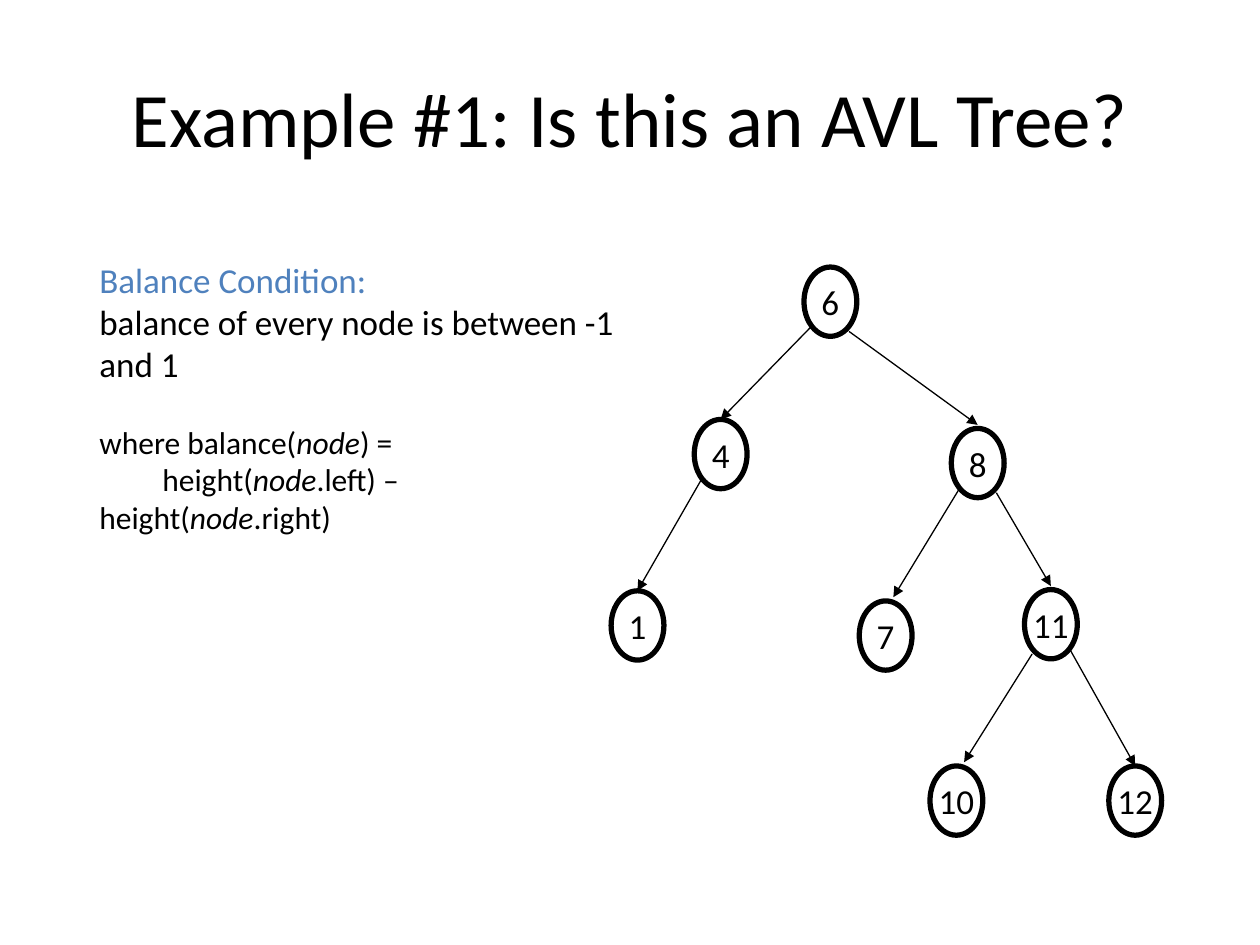
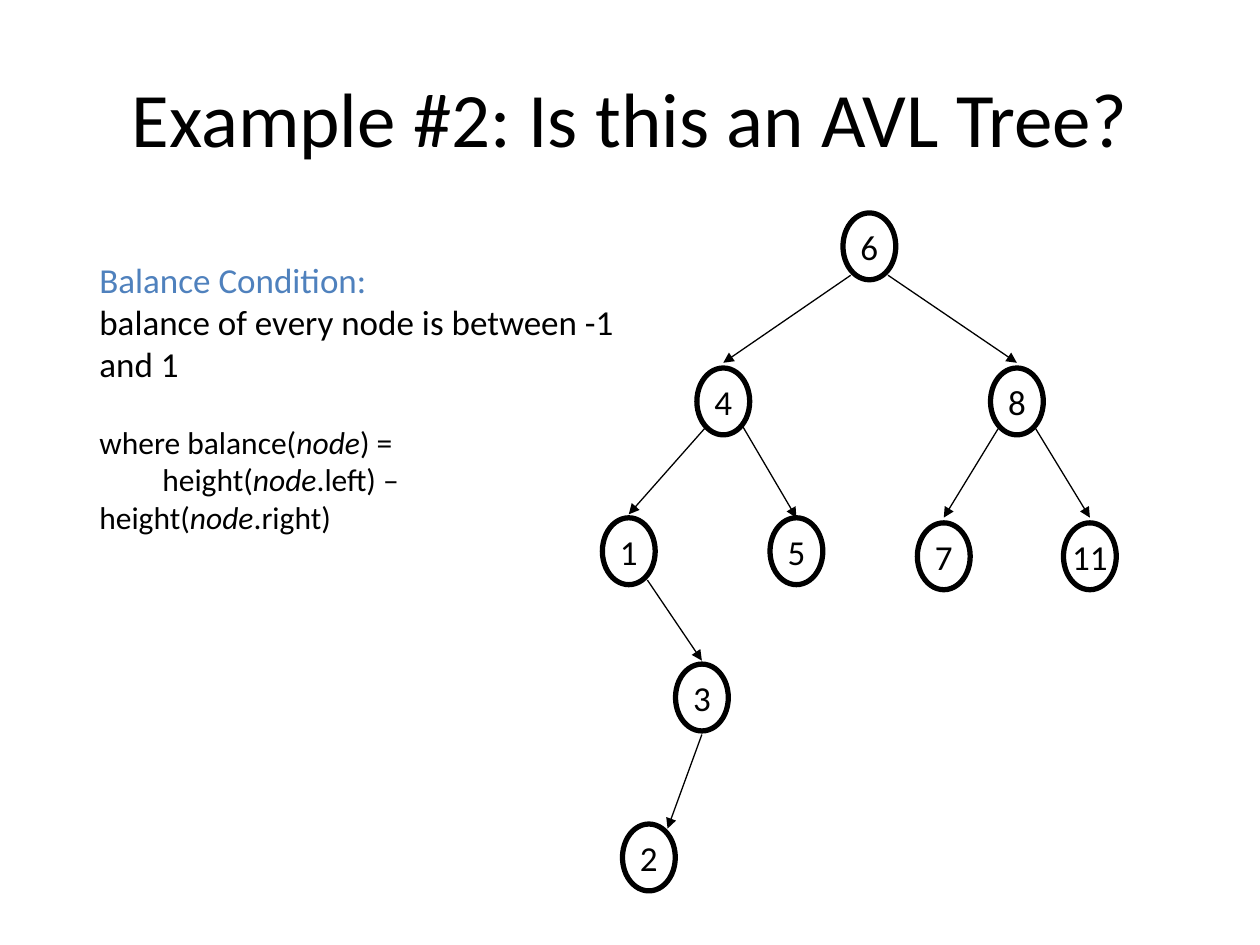
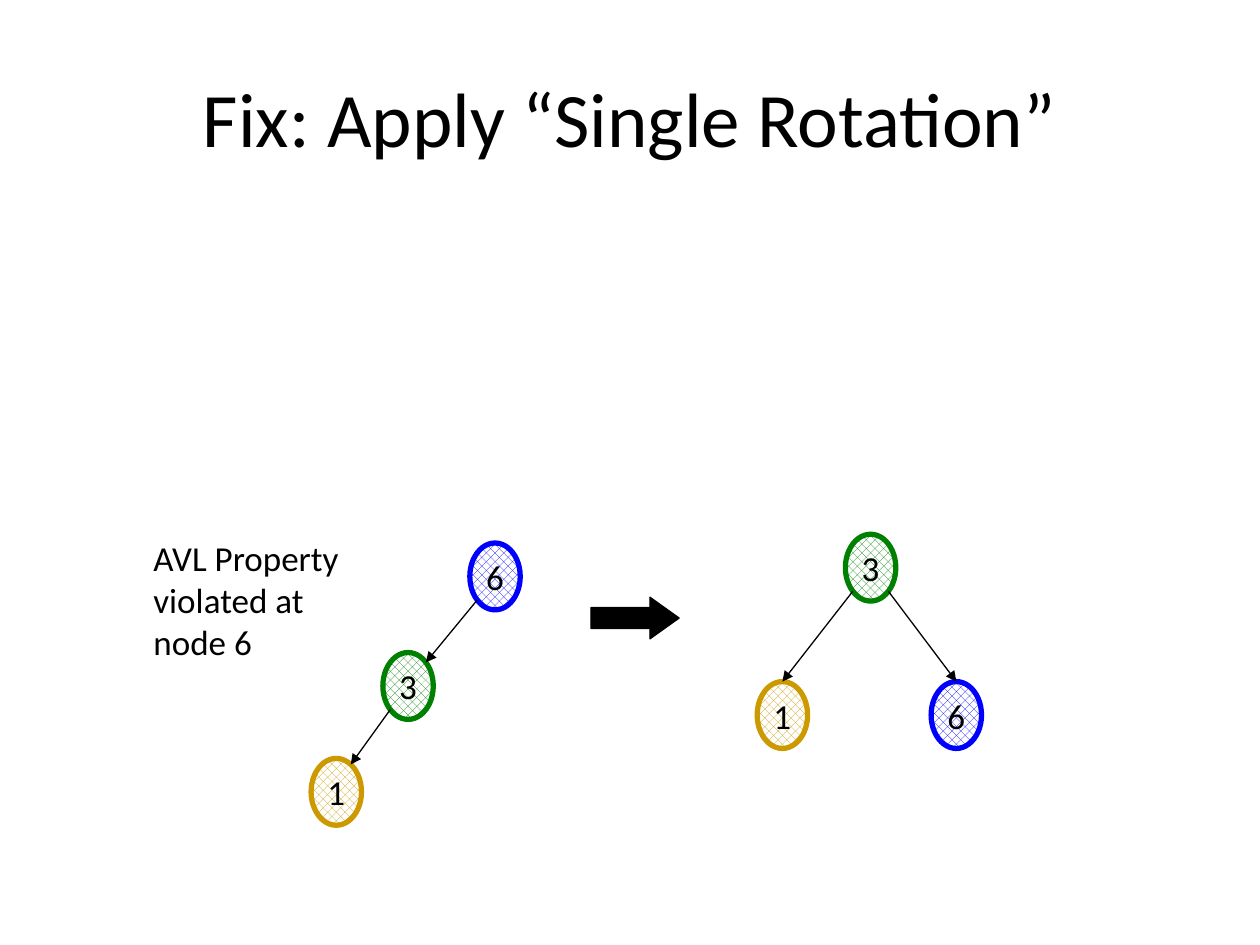
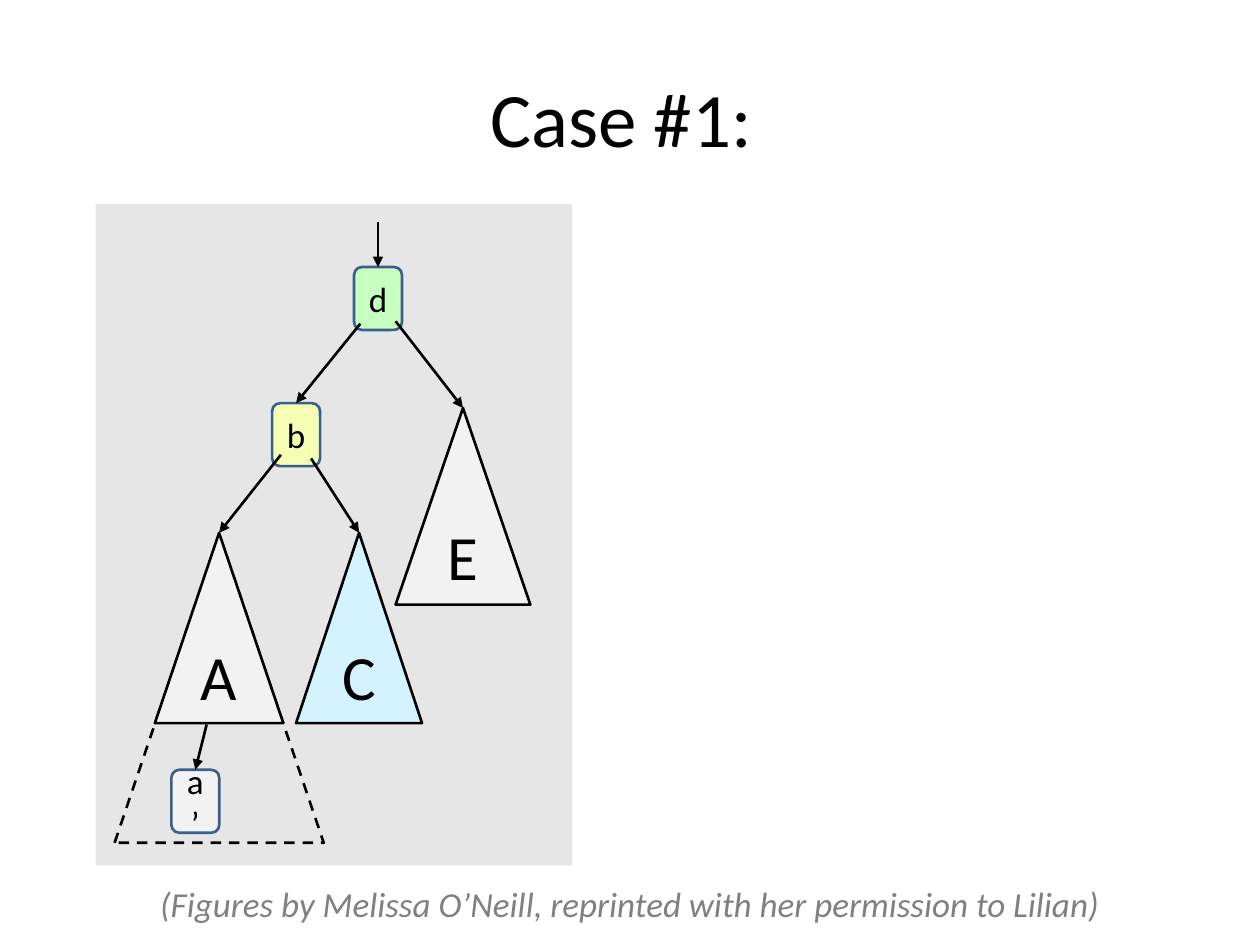
import math
from dataclasses import dataclass

from lxml import etree
from pptx import Presentation
from pptx import util as u
from pptx.dml import color as colors
from pptx.enum import dml, shapes, text
from pptx.oxml import ns

FONT = "Calibri"
BLACK, WHITE, ACCENT, GREY = "000000", "FFFFFF", "4F81BD", "808080"
BLUE, GREEN, GOLD = "0000FF", "008000", "CC9900"
PANEL, PALE, CYAN, YELLOW, MINT, NAVY = "E6E6E6", "F2F2F2", "D2F3FF", "F5FFB4", "C6FFBF", "3A5F8C"
TITLE_BOX = (36, 21.6, 648, 90)
TITLE_ONLY = 5
CENTER = text.PP_ALIGN.CENTER
MIDDLE = text.MSO_ANCHOR.MIDDLE
KIND = shapes.MSO_SHAPE


@dataclass
class Edge:
    parent: str
    child: str
    drop: float = 0
    gap: float = 0
    leave: float = None
    arrive: float = 90


def rgb(hex_color):
    return colors.RGBColor.from_string(hex_color)


def points(*values):
    return [u.Pt(value) for value in values]


def write(frame, content, size=20, color=BLACK, italic=False, align=None,
          new_paragraph=False, space_before=0):
    paragraph = frame.add_paragraph() if new_paragraph else frame.paragraphs[-1]
    if align is not None:
        paragraph.alignment = align
    if space_before:
        paragraph.space_before = u.Pt(space_before)
    for index, line in enumerate(content.split("\n")):
        if index:
            paragraph.add_line_break()
        if line:
            run = paragraph.add_run()
            run.text = line
            run.font.name = FONT
            run.font.size = u.Pt(size)
            run.font.italic = italic
            run.font.color.rgb = rgb(color)


def add_slide(presentation, title):
    slide = presentation.slides.add_slide(presentation.slide_layouts[TITLE_ONLY])
    shape = slide.shapes.title
    shape.left, shape.top, shape.width, shape.height = points(*TITLE_BOX)
    shape.text_frame.vertical_anchor = MIDDLE
    write(shape.text_frame, title, size=44, align=CENTER)
    return slide


def add_text_box(slide, box, anchor=text.MSO_ANCHOR.TOP):
    frame = slide.shapes.add_textbox(*points(*box)).text_frame
    frame.word_wrap = True
    frame.vertical_anchor = anchor
    return frame


def add_shape(slide, kind, box, fill=None, line=None, width=1.5, label="", size=20,
              wrap=True):
    shape = slide.shapes.add_shape(kind, *points(*box))
    shape.shadow.inherit = False
    if fill:
        shape.fill.solid()
        shape.fill.fore_color.rgb = rgb(fill)
    else:
        shape.fill.background()
    if line:
        shape.line.color.rgb = rgb(line)
        shape.line.width = u.Pt(width)
    else:
        shape.line.fill.background()
    if label:
        shape.text_frame.word_wrap = wrap
        shape.text_frame.vertical_anchor = MIDDLE
        write(shape.text_frame, label, size=size, align=CENTER)
    return shape


def add_arrow(slide, start, end, width=0.75):
    arrow = slide.shapes.add_connector(shapes.MSO_CONNECTOR.STRAIGHT, *points(*start, *end))
    arrow.line.color.rgb = rgb(BLACK)
    arrow.line.width = u.Pt(width)
    properties = arrow.element.spPr
    etree.SubElement(properties.find(ns.qn("a:ln")), ns.qn("a:tailEnd"), type="triangle")
    etree.SubElement(properties, ns.qn("a:effectLst"))
    return arrow


def rim_point(node_box, angle, shift):
    left, top, width, height = node_box
    radians = math.radians(angle)
    return (left + width / 2 * (1 + math.cos(radians)),
            top + height / 2 * (1 - math.sin(radians)) + shift)


def add_tree(slide, origin, node_size, nodes, edges, node_colors=None):
    boxes = {label: (origin[0] + x, origin[1] + y, *node_size)
             for label, (x, y) in nodes.items()}
    for label, box in boxes.items():
        color = node_colors[label] if node_colors else BLACK
        node = add_shape(slide, KIND.OVAL, box, line=color, width=3, label=label, wrap=False)
        if node_colors:
            node.fill.patterned()
            node.fill.pattern = dml.MSO_PATTERN.PERCENT_50
            node.fill.fore_color.rgb = rgb(color)
            node.fill.back_color.rgb = rgb(WHITE)
    for edge in edges:
        parent, child = boxes[edge.parent], boxes[edge.child]
        leave = edge.leave or (225 if child[0] < parent[0] else 315)
        add_arrow(slide, rim_point(parent, leave, edge.drop),
                  rim_point(child, edge.arrive, -edge.gap))


def add_balance_condition(slide, box):
    frame = add_text_box(slide, box)
    write(frame, "Balance Condition:\n", color=ACCENT)
    write(frame, "balance of every node is between -1 and 1")
    write(frame, "where balance(", size=18, new_paragraph=True, space_before=22)
    for word, rest in (("node", ") = \n\theight("), ("node", ".left) – height("),
                       ("node", ".right)")):
        write(frame, word, size=18, italic=True)
        write(frame, rest, size=18)


def build_example(presentation, number, origin, node_size, nodes, edges):
    slide = add_slide(presentation, f"Example #{number}: Is this an AVL Tree?")
    add_balance_condition(slide, (49.7, 144, 314, 342.7))
    add_tree(slide, origin, node_size, nodes, edges)


def build_rotation(presentation):
    slide = add_slide(presentation, "Fix: Apply “Single Rotation”")
    node_size = (28.8, 38.2)
    node_colors = {"1": GOLD, "3": GREEN, "6": BLUE}
    frame = add_text_box(slide, (80.6, 303.1, 133.2, 79.9))
    frame.auto_size = text.MSO_AUTO_SIZE.SHAPE_TO_FIT_TEXT
    write(frame, "AVL Property violated at node 6")
    add_tree(slide, (177.8, 310.3), node_size,
             {"6": (90.7, 0), "3": (41, 62.6), "1": (0, 123.1)},
             [Edge("6", "3", arrive=45), Edge("3", "1", arrive=55)], node_colors)
    arrow = add_shape(slide, KIND.RIGHT_ARROW, (337.7, 341.3, 50.4, 23.8),
                      fill=BLACK, line=BLACK, width=0.75)
    arrow.adjustments[1] = 0.7
    add_tree(slide, (432.7, 305.3), node_size,
             {"3": (50.4, 0), "1": (0, 84.2), "6": (99.4, 84.2)},
             [Edge("3", "1"), Edge("3", "6")], node_colors)


def add_case_figure(slide, box):
    left, top = box[:2]
    add_shape(slide, KIND.RECTANGLE, box, fill=PANEL)
    grown = add_shape(slide, KIND.ISOSCELES_TRIANGLE,
                      (left + 10.8, top + 188.6, 119.5, 176.4), line=BLACK)
    grown.line.dash_style = dml.MSO_LINE.DASH
    parts = {}
    for label, fill, x, y, width, height in (
            ("E", PALE, 171.4, 116.6, 77, 112.3),
            ("C", CYAN, 114.5, 187.9, 72, 108.7),
            ("A", PALE, 33.8, 187.9, 73.4, 108.7)):
        parts[label] = add_shape(slide, KIND.ISOSCELES_TRIANGLE,
                                 (left + x, top + y, width, height),
                                 fill=fill, line=BLACK, label=label, size=36)
    for label, fill, x, y in (("b", YELLOW, 100.8, 113.8), ("d", MINT, 147.6, 36),
                              ("a’", PALE, 43.2, 323.3)):
        parts[label] = add_shape(slide, KIND.ROUNDED_RECTANGLE,
                                 (left + x, top + y, 27.4, 36),
                                 fill=fill, line=NAVY, label=label)
    for target, x, y in (("d", 161.3, 10.1), ("b", 151.2, 68.4), ("E", 171.4, 67),
                         ("A", 105.8, 143.3), ("C", 123.1, 145.4), ("a’", 63.4, 297.4)):
        start = (left + x, top + y)
        add_arrow(slide, start, start, width=1.5).end_connect(parts[target], 0)


def build_case(presentation):
    slide = add_slide(presentation, "Case #1: ")
    add_case_figure(slide, (54.7, 116.6, 272.2, 378))
    caption = add_text_box(slide, (49.7, 476.6, 620.6, 55.4), text.MSO_ANCHOR.BOTTOM)
    write(caption, "(Figures by Melissa O’Neill, reprinted with her permission to Lilian)",
          color=GREY, italic=True, align=CENTER)


def main():
    presentation = Presentation()
    presentation.slide_width, presentation.slide_height = points(720, 540)
    build_example(
        presentation, 1, (349.2, 152.6), (30.2, 39.6),
        {"6": (110.2, 0), "4": (47.5, 87.1), "8": (194.4, 92.2), "1": (0, 185),
         "7": (141.8, 190.8), "11": (236.2, 184.3), "10": (182.2, 285.1),
         "12": (284.4, 285.1)},
        [Edge("6", "4"), Edge("6", "8", 3, 2), Edge("4", "1"),
         Edge("8", "7", 1, 3, arrive=73), Edge("8", "11", 3, 2),
         Edge("11", "10", 3, 3, arrive=73), Edge("11", "12")])
    build_example(
        presentation, 2, (344.2, 121.7), (30.2, 38.2),
        {"6": (137.5, 0), "4": (54, 88.6), "8": (221.8, 88.6), "1": (0, 174.2),
         "5": (95.8, 174.2), "7": (180, 177.1), "11": (263.5, 177.1),
         "3": (41.8, 257.8), "2": (11.5, 349.2)},
        [Edge("6", "4", 3, 3), Edge("6", "8", 3, 3), Edge("4", "1", 2, 2),
         Edge("4", "5"), Edge("8", "7", 2, 3), Edge("8", "11", 2, 3),
         Edge("1", "3", 3, 2), Edge("3", "2", 2, 3, leave=270, arrive=45)])
    build_rotation(presentation)
    build_case(presentation)
    presentation.save("out.pptx")


if __name__ == "__main__":
    main()
